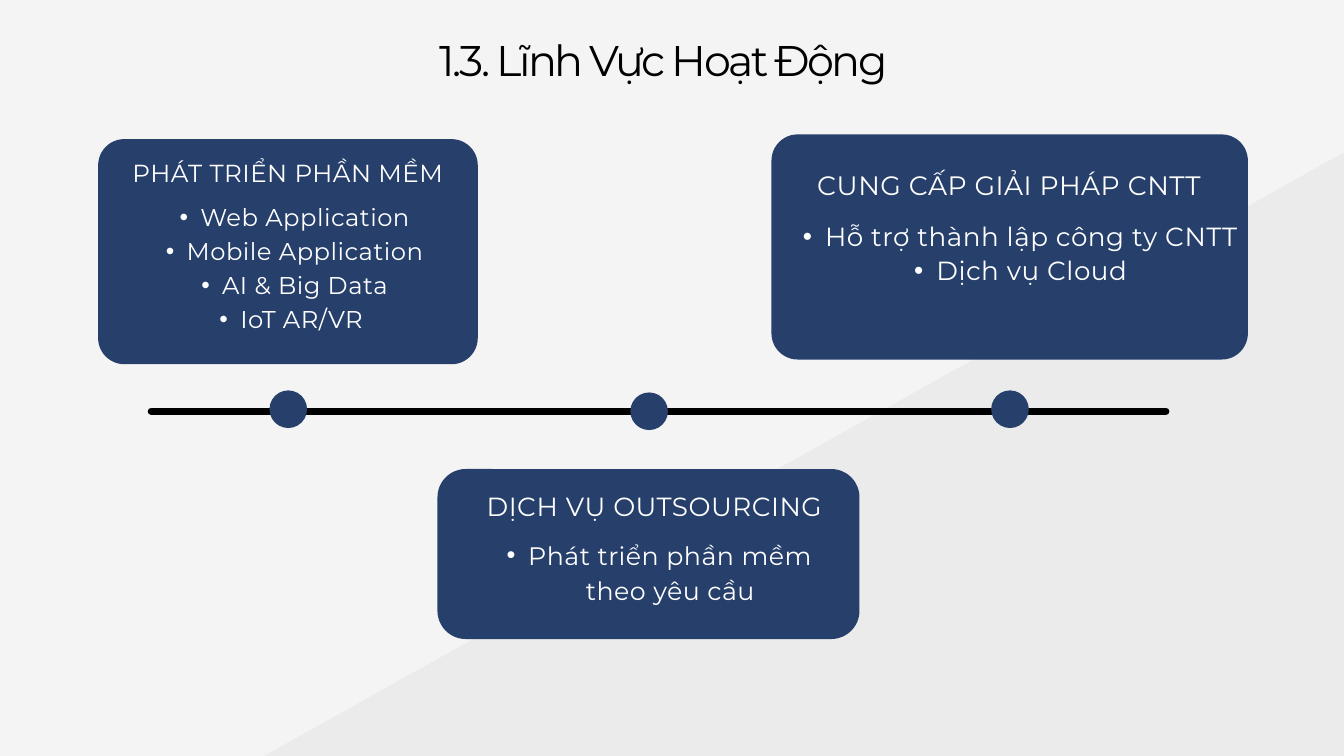
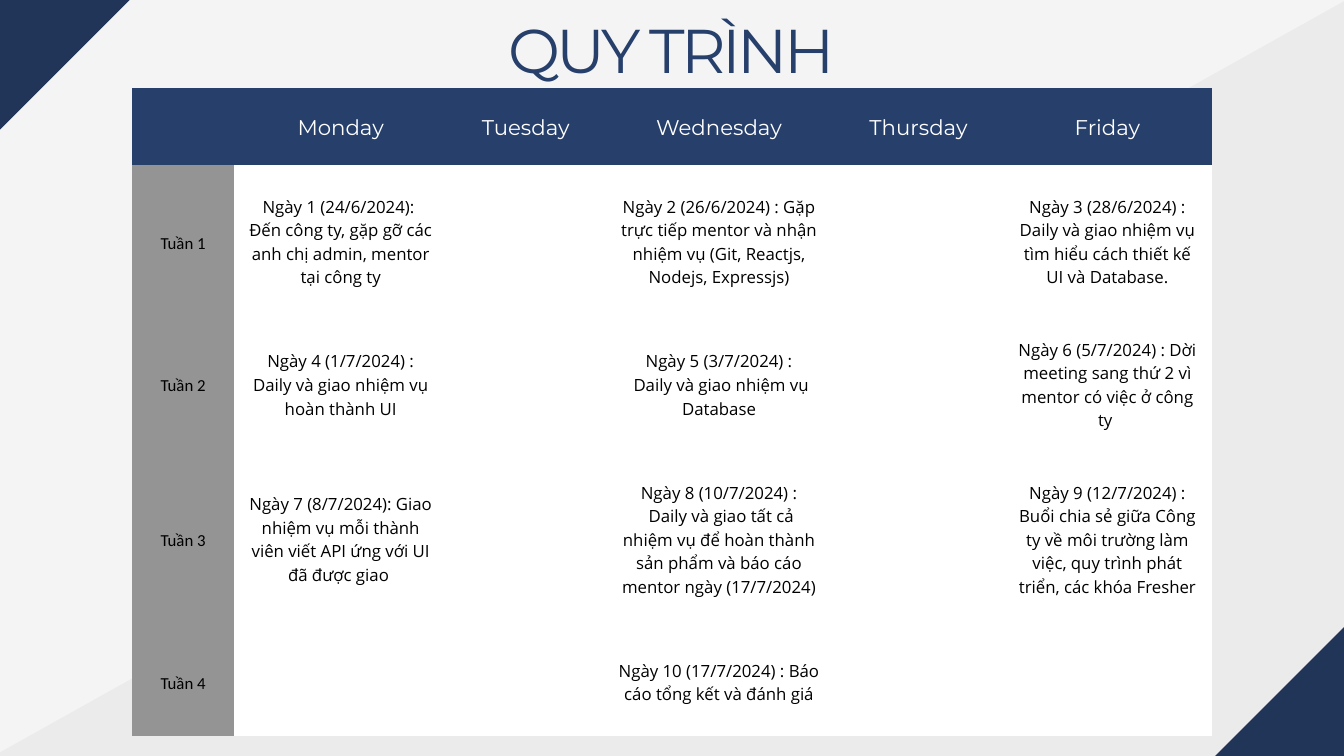
from lxml import etree
from pptx import Presentation
from pptx.dml.color import RGBColor
from pptx.enum.shapes import MSO_CONNECTOR, MSO_SHAPE
from pptx.enum.text import MSO_ANCHOR, MSO_AUTO_SIZE, PP_ALIGN
from pptx.oxml.ns import qn
from pptx.util import Inches, Pt

RECT, ROUND, OVAL = MSO_SHAPE.RECTANGLE, MSO_SHAPE.ROUNDED_RECTANGLE, MSO_SHAPE.OVAL
STRAIGHT = MSO_CONNECTOR.STRAIGHT
TOP, MIDDLE = MSO_ANCHOR.TOP, MSO_ANCHOR.MIDDLE
CENTER, FIXED = PP_ALIGN.CENTER, MSO_AUTO_SIZE.NONE

NAVY, DARK, GRAY, PALE = "263F6B", "213559", "949494", "F4F4F4"
BLACK, WHITE, SHADE = "000000", "FFFFFF", "545454"
SANS, BODY, SIDE = "Montserrat", "Open Sans", "Calibri"

CARDS = [
    {"box": (1.46, 2.07, 5.65, 3.35), "round": 0.39,
     "head": "PHÁT TRIỂN PHẦN MỀM", "head_at": (1.83, 2.32, 4.91, 0.94),
     "head_type": (26.4, 34.3, 0.5),
     "list": ["Web Application", "Mobile Application", "AI & Big Data", "IoT AR/VR "],
     "list_at": (1.7, 2.94, 5.06, 1.98), "list_type": (26, 36.4, 0.5), "indent": 0.31},
    {"box": (6.51, 6.98, 6.28, 2.53), "round": 0.42,
     "head": "DỊCH VỤ OUTSOURCING", "head_at": (7.11, 7.26, 5.26, 0.99),
     "head_type": (28.1, 36.5, 0.6),
     "list": ["Phát triển phần mềm theo yêu cầu"],
     "list_at": (7.02, 7.96, 5.27, 1.01), "list_type": (27.1, 37.9, 0.5), "indent": 0.32},
    {"box": (11.48, 2, 7.09, 3.35), "round": 0.39,
     "head": "CUNG CẤP GIẢI PHÁP CNTT", "head_at": (11.6, 2.48, 6.84, 1),
     "head_type": (28.5, 37, 0.6),
     "list": ["Hỗ trợ thành lập công ty CNTT ", "Dịch vụ Cloud"],
     "list_at": (11.58, 3.24, 6.89, 0.99), "list_type": (28.1, 36.6, 0.6), "indent": 0.33},
]
DOT, DOT_LEFT, DOT_STEP = 0.56, 4.01, 5.37
DOT_TOPS = [5.81, 5.84, 5.81]

DAYS = ["", "Monday", "Tuesday", "Wednesday", "Thursday", "Friday"]
WEEKS = [
    ["Tuần 1",
     "Ngày 1 (24/6/2024): \nĐến công ty, gặp gỡ các anh chị admin, mentor tại công ty", "",
     "Ngày 2 (26/6/2024) : Gặp trực tiếp mentor và nhận nhiệm vụ "
     "(Git, Reactjs, Nodejs, Expressjs)", "",
     "Ngày 3 (28/6/2024) : Daily và giao nhiệm vụ tìm hiểu cách thiết kế UI và Database."],
    ["Tuần 2",
     "Ngày 4 (1/7/2024) : Daily và giao nhiệm vụ hoàn thành UI", "",
     "Ngày 5 (3/7/2024) :\n Daily và giao nhiệm vụ Database", "",
     "Ngày 6 (5/7/2024) : Dời meeting sang thứ 2 vì mentor có việc ở công ty "],
    ["Tuần 3",
     "Ngày 7 (8/7/2024): Giao nhiệm vụ mỗi thành viên viết API ứng với UI đã được giao ", "",
     "Ngày 8 (10/7/2024) :\n Daily và giao tất cả nhiệm vụ để hoàn thành sản phẩm "
     "và báo cáo mentor ngày (17/7/2024)", "",
     "Ngày 9 (12/7/2024) :\nBuổi chia sẻ giữa Công ty về môi trường làm việc, "
     "quy trình phát triển, các khóa Fresher"],
    ["Tuần 4", "", "", "Ngày 10 (17/7/2024) : Báo cáo tổng kết và đánh giá", "", ""],
]
COLS = [1.51, 3.18, 2.33, 3.42, 2.52, 3.1]
ROWS = [1.14, 2.3, 1.95, 2.65, 1.6]


def rgb(code):
    """Turn a hex string into a colour."""
    return RGBColor.from_string(code)


def place(shape, spot):
    """Move a shape to its spot and bring it to the front."""
    shape.left, shape.top, shape.width, shape.height = map(Inches, spot)
    shape.element.getparent().append(shape.element)


def draw(slide, kind, spot, color, turn=0):
    """Add a filled shape with no outline."""
    shape = slide.shapes.add_shape(kind, *map(Inches, spot))
    shape.shadow.inherit = False
    shape.fill.solid()
    shape.fill.fore_color.rgb = rgb(color)
    shape.line.fill.background()
    shape.rotation = turn
    return shape


def write(frame, text, size, pitch, track=0, color=WHITE, font=SANS, indent=0):
    """Fill a text frame with centred, evenly spaced lines."""
    frame.text = text
    for para in frame.paragraphs:
        para.alignment = CENTER
        para.line_spacing = Pt(pitch)
        para.space_before = Pt(0)
        if indent:
            props = para._p.get_or_add_pPr()
            props.set("marL", str(Inches(2 * indent)))
            props.set("indent", str(-Inches(indent)))
            etree.SubElement(props, qn("a:buFont")).set("typeface", "Arial")
            etree.SubElement(props, qn("a:buChar")).set("char", "•")
        for run in para.runs:
            run.font.size = Pt(size)
            run.font.name = font
            run.font.bold = False
            run.font.color.rgb = rgb(color)
            if track:
                run.font._element.set("spc", str(round(track * 100)))


def label(shape, spot, text, *type_, **style):
    """Place a text shape without margins and write in it."""
    place(shape, spot)
    frame = shape.text_frame
    frame.margin_left = frame.margin_top = frame.margin_right = frame.margin_bottom = 0
    frame.word_wrap = True
    frame.auto_size = FIXED
    frame.vertical_anchor = TOP
    write(frame, text, *type_, **style)


def start(deck, layout, band):
    """Add a slide with the pale ground and the slanted band."""
    slide = deck.slides.add_slide(deck.slide_layouts[layout])
    slide.background.fill.solid()
    slide.background.fill.fore_color.rgb = rgb(PALE)
    shape = draw(slide, RECT, (*band, 28.2, 10.48), SHADE, 330.8)
    tint = shape.element.spPr.find(".//" + qn("a:srgbClr"))
    etree.SubElement(tint, qn("a:alpha")).set("val", "5000")
    return slide


def add_fields(deck):
    """Build the timeline of business fields."""
    slide = start(deck, 4, (4.13, 4.02))
    axis = slide.shapes.add_connector(
        STRAIGHT, Inches(2.25), Inches(6.12), Inches(17.35), Inches(6.12))
    axis.line.color.rgb = rgb(BLACK)
    axis.line.width = Pt(7.5)
    axis.element.spPr.find(qn("a:ln")).set("cap", "rnd")
    etree.SubElement(axis.element.spPr, qn("a:effectLst"))
    for i, top in enumerate(DOT_TOPS):
        draw(slide, OVAL, (DOT_LEFT + i * DOT_STEP, top, DOT, DOT), NAVY)
    label(slide.shapes.title, (0.53, 0.64, 18.7, 0.64), "1.3. Lĩnh Vực Hoạt Động",
          45.9, 44.9, -2.7, BLACK)
    *lists, spare = list(slide.placeholders)[1:]
    spare.element.getparent().remove(spare.element)
    for card, body in zip(CARDS, lists):
        box = draw(slide, ROUND, card["box"], NAVY)
        box.adjustments[0] = card["round"] / card["box"][3]
        spot = card["head_at"]
        head = slide.shapes.add_textbox(*map(Inches, spot))
        label(head, spot, card["head"], *card["head_type"])
        label(body, card["list_at"], "\n".join(card["list"]), *card["list_type"],
              indent=card["indent"])


def fill_cell(cell, text, row, col):
    """Style one table cell by its row and column."""
    props = cell._tc.get_or_add_tcPr()
    for side in ("a:lnL", "a:lnR", "a:lnT", "a:lnB"):
        edge = etree.SubElement(props, qn(side))
        edge.set("w", "0")
        etree.SubElement(edge, qn("a:noFill"))
    cell.fill.solid()
    cell.fill.fore_color.rgb = rgb(NAVY if row == 0 else GRAY if col == 0 else WHITE)
    cell.vertical_anchor = MIDDLE
    pad = Inches(0.21)
    cell.margin_left = cell.margin_right = cell.margin_top = cell.margin_bottom = pad
    if text and row == 0:
        write(cell.text_frame, text, 22.8, 31.9)
    elif text:
        write(cell.text_frame, text, 18, 25.2, color=BLACK, font=BODY if col else SIDE)


def add_plan(deck):
    """Build the weekly schedule."""
    slide = start(deck, 5, (-1.22, 4.76))
    label(slide.shapes.title, (4.16, 0.37, 11.67, 0.94), "QUY TRÌNH",
          66.2, 64.9, -3.9, NAVY)
    spot = (1.97, 1.31, sum(COLS), sum(ROWS))
    table = slide.shapes.add_table(len(ROWS), len(COLS), *map(Inches, spot)).table
    table.first_row = table.horz_banding = False
    for col, width in zip(table.columns, COLS):
        col.width = Inches(width)
    for row, height in zip(table.rows, ROWS):
        row.height = Inches(height)
    for r, line in enumerate([DAYS, *WEEKS]):
        for c, text in enumerate(line):
            fill_cell(table.cell(r, c), text, r, c)
    for left, top in [(-2.89, -1.36), (17.11, 9.89)]:
        draw(slide, RECT, (left, top, 5.79, 2.72), DARK, 315)


def main():
    """Build and save the deck."""
    deck = Presentation()
    deck.slide_width, deck.slide_height = Inches(20), Inches(11.25)
    add_fields(deck)
    add_plan(deck)
    deck.save("out.pptx")


if __name__ == "__main__":
    main()
